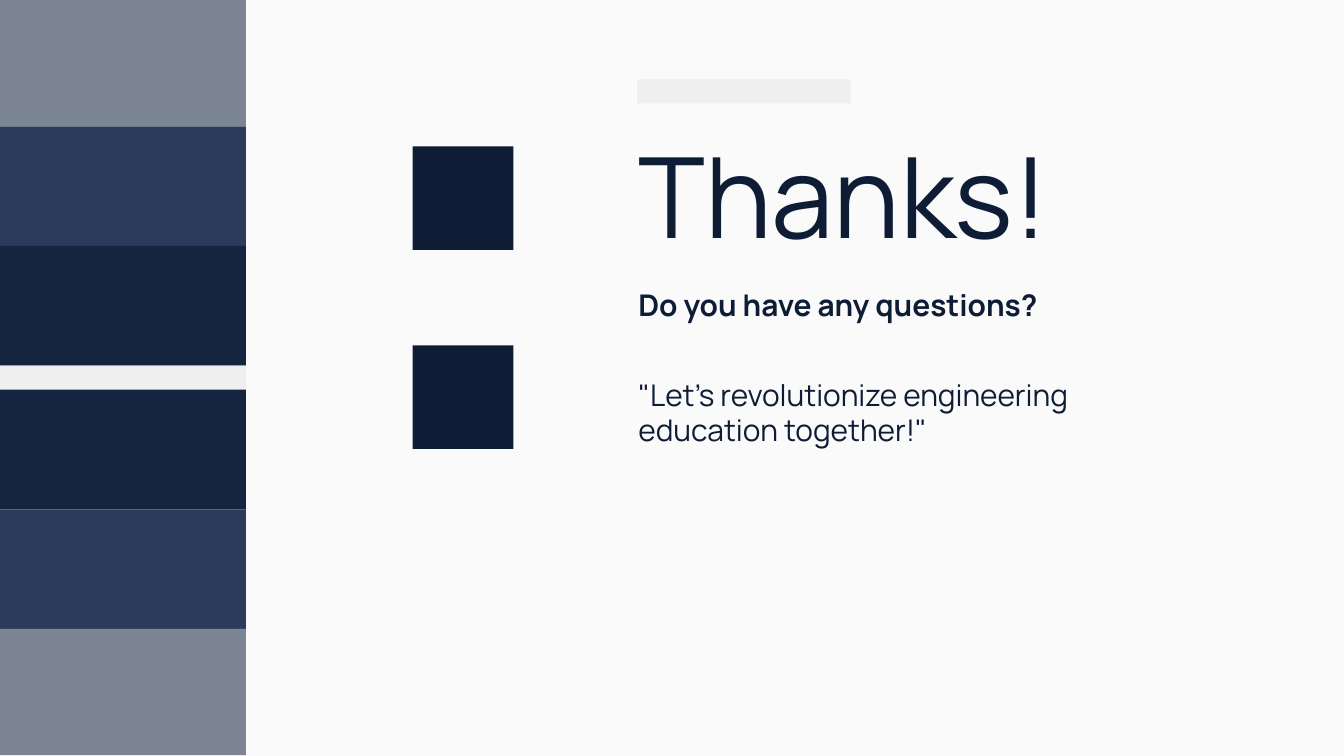
from dataclasses import dataclass

from pptx import Presentation
from pptx.dml.color import RGBColor
from pptx.enum import shapes, text
from pptx.util import Inches, Pt


@dataclass(frozen=True)
class Theme:
    font: str = "Manrope"
    background: str = "FAFAFA"
    ink: str = "0E1D35"
    navy: str = "15253F"
    blue: str = "2B3B5D"
    grey: str = "7C8594"
    pale: str = "EFEFEF"
    title_size: int = 60
    body_size: int = 16


THEME = Theme()


def add_block(s, left, top, width, height, color):
    sp = s.shapes.add_shape(shapes.MSO_SHAPE.RECTANGLE, Inches(left),
                            Inches(top), Inches(width), Inches(height))
    sp.shadow.inherit = False
    sp.fill.solid()
    sp.fill.fore_color.rgb = RGBColor.from_string(color)
    sp.line.fill.background()


def place_text(sp, left, top, width, height, lines):
    """Fill a placeholder with (text, size, bold, space before) lines."""
    sp.left, sp.top = Inches(left), Inches(top)
    sp.width, sp.height = Inches(width), Inches(height)
    tf = sp.text_frame
    tf.word_wrap = True
    tf.auto_size = text.MSO_AUTO_SIZE.NONE
    tf.vertical_anchor = text.MSO_ANCHOR.TOP
    tf.margin_left = tf.margin_right = Inches(0.1)
    tf.margin_top = tf.margin_bottom = Inches(0.1)
    tf.text = "\n".join(line[0] for line in lines)
    for p, (_, size, bold, before) in zip(tf.paragraphs, lines):
        p.alignment = text.PP_ALIGN.LEFT
        p.space_before = Pt(before)
        font = p.runs[0].font
        font.name, font.size, font.bold = THEME.font, Pt(size), bold
        font.color.rgb = RGBColor.from_string(THEME.ink)


def add_sidebar(s, left, top, width):
    """Stack colour bands, mirrored around a thin pale strip."""
    half = [(0.94, THEME.grey), (0.89, THEME.blue), (0.89, THEME.navy)]
    for height, color in half + [(0.18, THEME.pale)] + half[::-1]:
        add_block(s, left, top, width, height, color)
        top += height


def add_squares(s, left, top):
    for i in range(2):
        add_block(s, left, top + i * 1.48, 0.75, 0.77, THEME.ink)


def add_message(s, left, top):
    # Accent bar above the title
    add_block(s, left + 0.09, top, 1.59, 0.18, THEME.pale)
    place_text(s.shapes.title, left, top + 0.25, 4.33, 1.16,
               [("Thanks!", THEME.title_size, False, 0)])
    place_text(s.placeholders[1], left, top + 1.44, 4.03, 1.4, [
        ("Do you have any questions?", THEME.body_size, True, 0),
        ('"Let’s revolutionize engineering education together!"',
         THEME.body_size, False, 29),
    ])


def main():
    prs = Presentation()
    # Standard 16:9 page
    prs.slide_width = Inches(10)
    prs.slide_height = prs.slide_width * 9 // 16
    s = prs.slides.add_slide(prs.slide_layouts[0])
    s.background.fill.solid()
    s.background.fill.fore_color.rgb = RGBColor.from_string(THEME.background)

    add_squares(s, 3.07, 1.09)
    add_message(s, 4.65, 0.59)
    add_sidebar(s, 0, 0, 1.83)
    prs.save("out.pptx")


if __name__ == "__main__":
    main()
